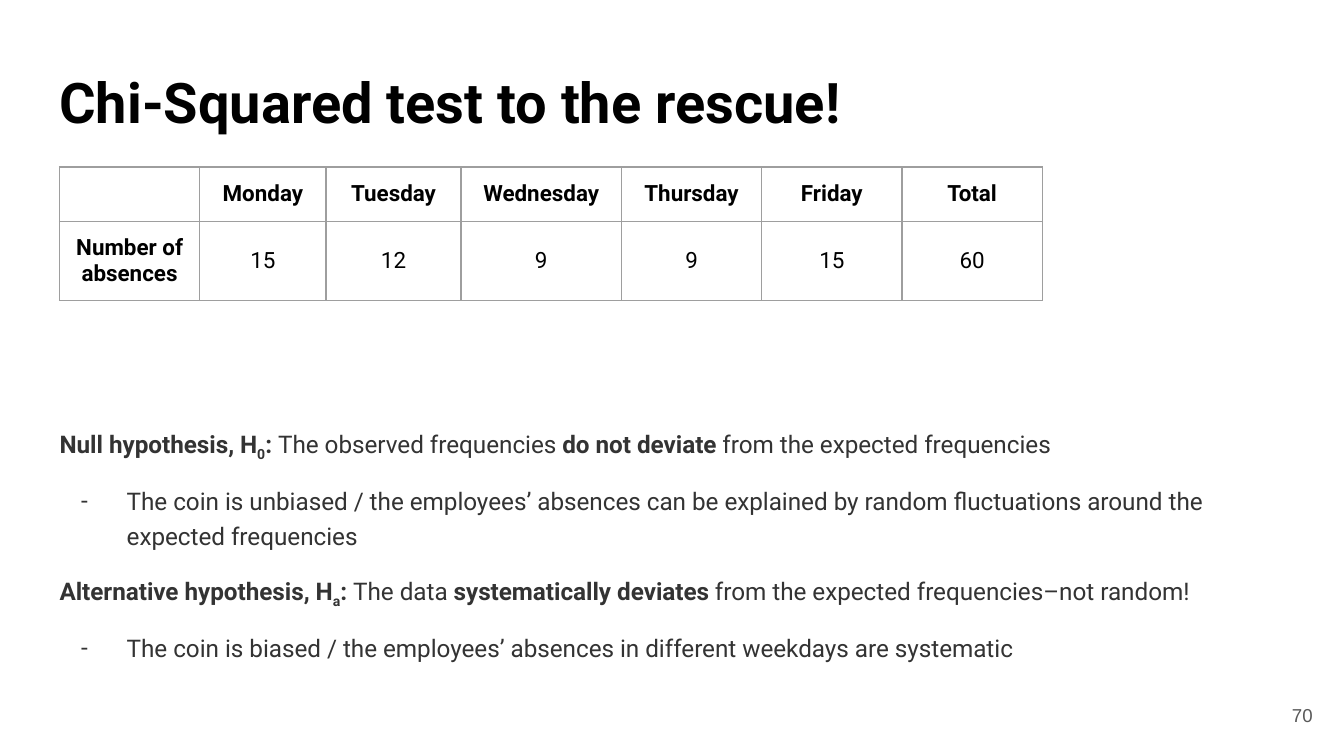
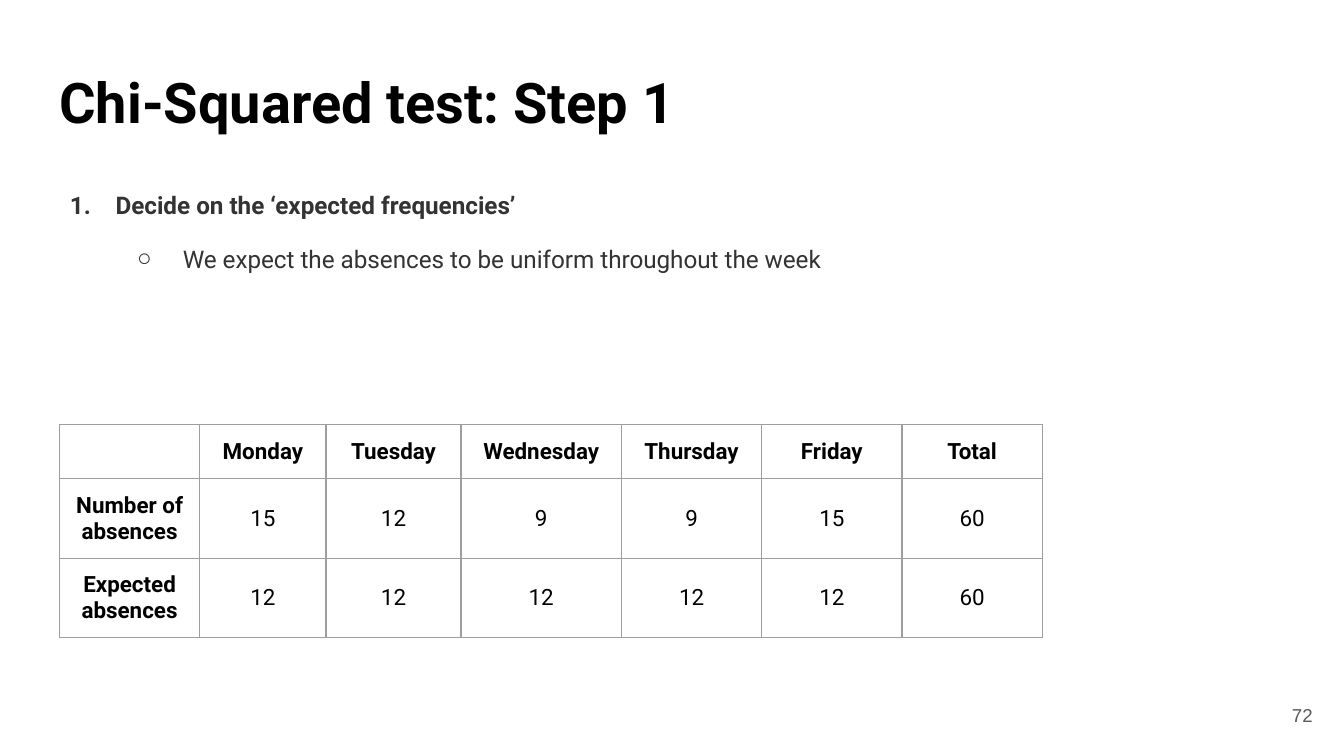
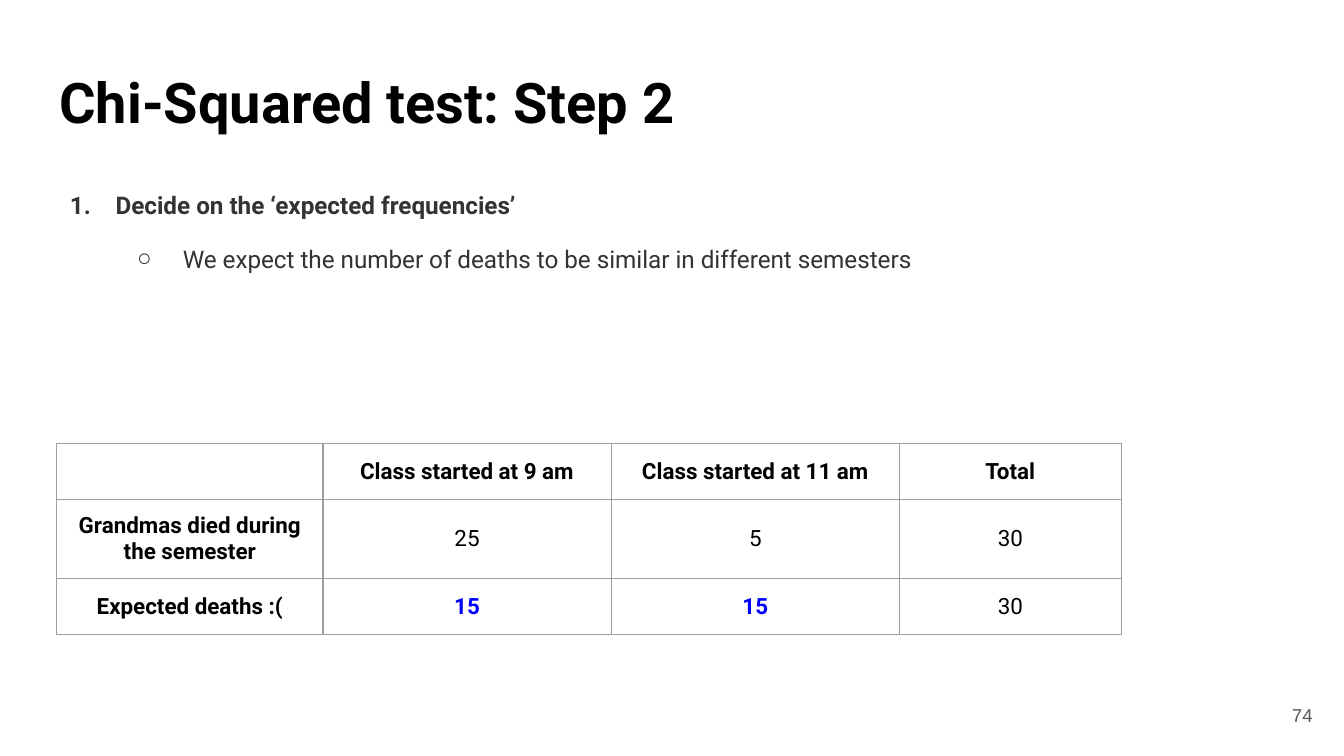
from lxml.etree import SubElement
from pptx import Presentation
from pptx.dml.color import RGBColor
from pptx.enum.text import MSO_ANCHOR as Anchor, MSO_AUTO_SIZE as AutoSize, PP_ALIGN as Align
from pptx.oxml.ns import qn
from pptx.util import Inches, Pt

# Shared style
FONT, PLAIN_FONT = "Roboto", "Arial"
BLACK, DARK, GRAY, BORDER, BLUE = "000000", "333333", "595959", "9E9E9E", "0000FF"

deck = Presentation()
deck.slide_width = Inches(10)
deck.slide_height = deck.slide_width * 9 // 16
COLUMN, ROW = deck.slide_width / 100, deck.slide_height / 100  # 100 x 100 grid


def grid(left, top, width, height):
    return [round(left * COLUMN), round(top * ROW), round(width * COLUMN), round(height * ROW)]


def style(span, size, color, bold=False, font=FONT):
    span.font.name, span.font.size, span.font.bold = font, Pt(size), bold
    span.font.color.rgb = RGBColor.from_string(color)


# Slide contents: a line is its mark, indent in inches and (text, format) spans
WEEK_COLUMNS = [10.44, 9.4, 10.04, 11.94, 10.44, 10.44, 10.44]
WEEK = ["", "Monday", "Tuesday", "Wednesday", "Thursday", "Friday", "Total"]
ABSENCES = ["Number of absences", "15", "12", "9", "9", "15", "60"]
DECIDE = ("1.", 0.5, [("Decide on the ‘expected frequencies’", "bold")])
STEP_BODY = (3.6, 24.4, 82.5, 19.6)

slides = [
    dict(
        title="Chi-Squared test to the rescue!", number="70",
        body=(4.43, 55.85, 87.7, 37.9),
        lines=[
            ("", 0, [("Null hypothesis, H", "bold"), ("0", "sub"), (": ", "bold"),
                     ("The observed frequencies ", ""), ("do not deviate", "bold"),
                     (" from the expected frequencies", "")]),
            ("-", 0.5, [("The coin is unbiased / the employees’ absences can be explained by "
                         "random fluctuations around the expected frequencies", "")]),
            ("", 0, [("Alternative hypothesis, H", "bold"), ("a", "sub"), (": ", "bold"),
                     ("The data ", ""), ("systematically deviates", "bold"),
                     (" from the expected frequencies–not random!", "")]),
            ("-", 0.5, [("The coin is biased / the employees’ absences in different weekdays "
                         "are systematic", "")]),
        ],
        corner=(4.43, 22.1), columns=WEEK_COLUMNS, rows=[7, 10.45],
        cells=[WEEK, ABSENCES], highlights=[],
    ),
    dict(
        title="Chi-Squared test: Step 1", number="72", body=STEP_BODY,
        lines=[DECIDE,
               ("○", 1, [("We expect the absences to be uniform throughout the week", "")])],
        corner=(4.43, 56.15), columns=WEEK_COLUMNS, rows=[7, 10.45, 10.45],
        cells=[WEEK, ABSENCES, ["Expected absences"] + ["12"] * 5 + ["60"]], highlights=[],
    ),
    dict(
        title="Chi-Squared test: Step 2", number="74", body=STEP_BODY,
        lines=[DECIDE,
               ("○", 1, [("We expect the number of deaths to be similar in different semesters", "")])],
        corner=(4.23, 58.65), columns=[19.8, 21.45, 21.45, 16.5], rows=[7.4, 10.45, 7.4],
        cells=[["", "Class started at 9 am", "Class started at 11 am", "Total"],
               ["Grandmas died during the semester", "25", "5", "30"],
               ["Expected deaths :(", "15", "15", "30"]],
        highlights=[(2, 1), (2, 2)],
    ),
]

for content in slides:
    page = deck.slides.add_slide(deck.slide_layouts[1])

    # Title
    title = page.shapes.title
    title.left, title.top, title.width, title.height = grid(3.41, 7.1, 93.2, 11.2)
    frame = title.text_frame
    frame.text = content["title"]
    frame.auto_size, frame.vertical_anchor = AutoSize.NONE, Anchor.TOP
    frame.margin_left = frame.margin_top = frame.margin_right = frame.margin_bottom = Inches(0.1)
    frame.paragraphs[0].alignment = Align.LEFT
    style(frame.paragraphs[0].runs[0], 30, BLACK, True)

    # Body list
    body = page.placeholders[1]
    body.left, body.top, body.width, body.height = grid(*content["body"])
    frame = body.text_frame
    frame.auto_size, frame.vertical_anchor = AutoSize.NONE, Anchor.TOP
    frame.margin_left = frame.margin_top = frame.margin_right = frame.margin_bottom = 0
    for index, (mark, indent, spans) in enumerate(content["lines"]):
        para = frame.add_paragraph() if index else frame.paragraphs[0]
        para.level = 1 if mark == "○" else 0
        para.line_spacing = 1.2
        para.space_before = Pt(10 if index else 0)
        for text, form in spans:
            span = para.add_run()
            span.text = text
            style(span, 13, DARK, form != "")
            if form == "sub":
                span.font._element.set("baseline", "-25000")
        # Bullet and hanging indent
        props = para._p.get_or_add_pPr()
        props.set("marL", str(Inches(indent)))
        props.set("indent", str(Inches(-0.34) if mark else 0))
        if mark:
            SubElement(SubElement(props, qn("a:buClr")), qn("a:srgbClr"), val=DARK)
            SubElement(props, qn("a:buFont"), typeface=PLAIN_FONT if mark == "○" else FONT)
        if mark == "1.":
            SubElement(props, qn("a:buAutoNum"), type="arabicPeriod")
        elif mark:
            SubElement(props, qn("a:buChar"), char=mark)
        else:
            SubElement(props, qn("a:buNone"))

    # Table
    columns, rows = content["columns"], content["rows"]
    table = page.shapes.add_table(
        len(rows), len(columns), *grid(*content["corner"], sum(columns), sum(rows))).table
    for column, width in zip(table.columns, columns):
        column.width = round(width * COLUMN)
    for row, height in zip(table.rows, rows):
        row.height = round(height * ROW)
    for r, texts in enumerate(content["cells"]):
        for c, text in enumerate(texts):
            cell = table.cell(r, c)
            cell.text = text
            cell.fill.background()
            cell.vertical_anchor = Anchor.MIDDLE
            cell.margin_left = cell.margin_right = Inches(0.1)
            cell.margin_top = cell.margin_bottom = Inches(0.1)
            para = cell.text_frame.paragraphs[0]
            para.alignment = Align.CENTER
            marked = (r, c) in content["highlights"]
            for span in para.runs:
                style(span, 12, BLUE if marked else BLACK, r == 0 or c == 0 or marked)
            if not text:
                SubElement(para._p, qn("a:endParaRPr"), sz="1200")
            # Borders come before the fill
            props = cell._tc.get_or_add_tcPr()
            for place, side in enumerate(["a:lnL", "a:lnR", "a:lnT", "a:lnB"]):
                line = SubElement(props, qn(side), w=str(Pt(0.75)))
                SubElement(SubElement(line, qn("a:solidFill")), qn("a:srgbClr"), val=BORDER)
                props.insert(place, line)

    # Page number
    box = page.shapes.add_textbox(*grid(92.65, 90.7, 6, 7.65))
    frame = box.text_frame
    frame.text = content["number"]
    frame.word_wrap, frame.vertical_anchor = True, Anchor.MIDDLE
    frame.margin_left = frame.margin_top = frame.margin_right = frame.margin_bottom = Inches(0.1)
    frame.paragraphs[0].alignment = Align.RIGHT
    style(frame.paragraphs[0].runs[0], 10, GRAY, font=PLAIN_FONT)

deck.save("out.pptx")
